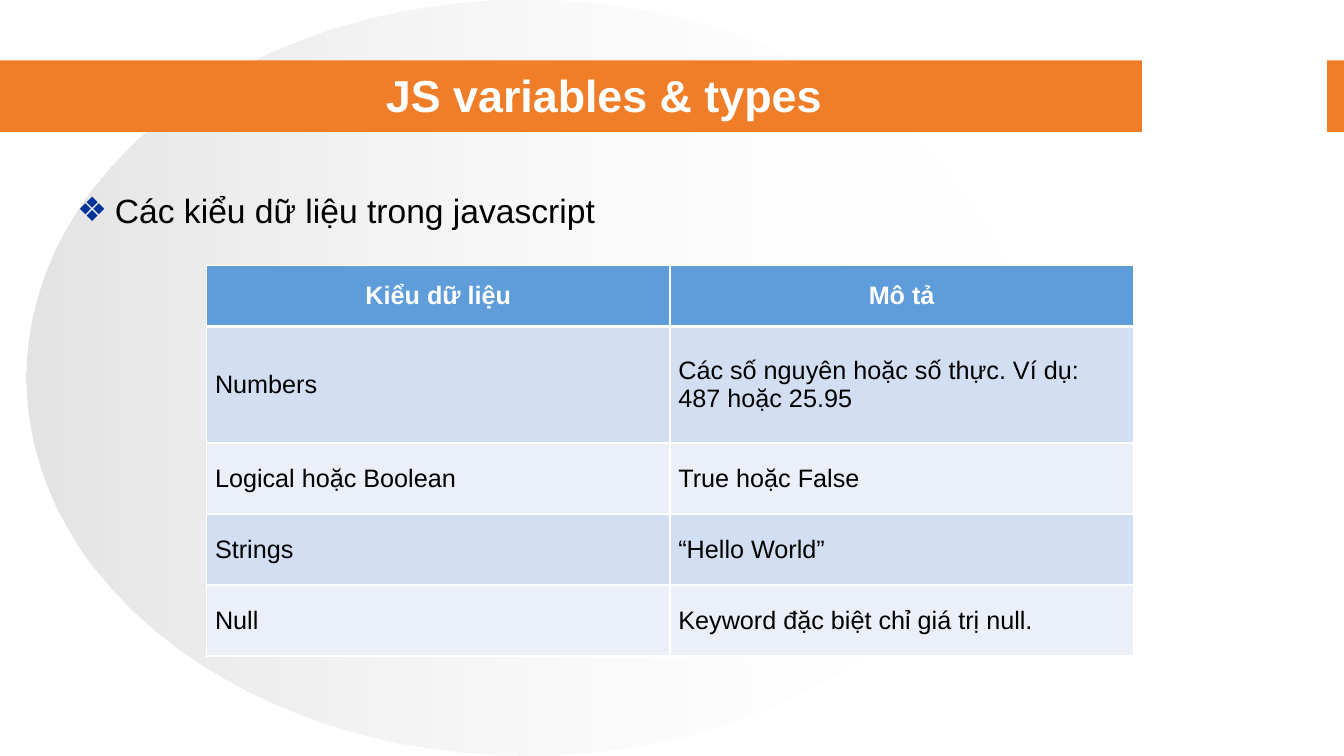
from lxml import etree
from pptx import Presentation
from pptx.dml.color import RGBColor
from pptx.enum.shapes import MSO_SHAPE
from pptx.enum.text import MSO_ANCHOR, PP_ALIGN
from pptx.oxml.ns import qn
from pptx.util import Pt

OVAL, RECTANGLE = MSO_SHAPE.OVAL, MSO_SHAPE.RECTANGLE
MIDDLE, TOP = MSO_ANCHOR.MIDDLE, MSO_ANCHOR.TOP
CENTER, LEFT = PP_ALIGN.CENTER, PP_ALIGN.LEFT

FONT = "Arial"
WHITE, BLACK, ORANGE, NAVY = "FFFFFF", "000000", "F07D27", "003399"
HEADER_BLUE, BAND_FILLS = "5E9CDA", ("D2DEF1", "EAEFF8")

TYPE_ROWS = [
    ("Kiểu dữ liệu", "Mô tả"),
    ("Numbers", "Các số nguyên hoặc số thực. Ví dụ: 487 hoặc 25.95"),
    ("Logical hoặc Boolean", "True hoặc False"),
    ("Strings", "“Hello World”"),
    ("Null", "Keyword đặc biệt chỉ giá trị null."),
]
ROW_HEIGHTS = (43.9, 83.2, 50.7, 50.7, 50.7)


def color(hex_string):
    return RGBColor.from_string(hex_string)


def points(box):
    return [Pt(length) for length in box]


def add_span(para, text, size, hex_color, bold=False):
    span = para.add_run()
    span.text = text
    span.font.name = FONT
    span.font.size = Pt(size)
    span.font.bold = bold
    span.font.color.rgb = color(hex_color)


def add_plain_shape(page, kind, box, fill):
    shape = page.shapes.add_shape(kind, *points(box))
    shape.shadow.inherit = False
    shape.fill.solid()
    shape.fill.fore_color.rgb = color(fill)
    shape.line.fill.background()
    return shape


def add_text_box(page, box, anchor):
    frame = page.shapes.add_textbox(*points(box)).text_frame
    frame.word_wrap = True
    frame.vertical_anchor = anchor
    return frame.paragraphs[0]


def add_backdrop(page, box):
    """Grey ellipse that fades out to the right."""
    ellipse = add_plain_shape(page, OVAL, box, WHITE)
    ellipse.fill.gradient()
    ellipse.fill.gradient_angle = 0
    fades = (("C0C0C0", 44), (WHITE, 0))
    for stop, (hex_color, opacity) in zip(ellipse.fill.gradient_stops, fades):
        stop.color.rgb = color(hex_color)
    # Opacity of each gradient stop
    tones = ellipse.element.spPr.iter(qn("a:srgbClr"))
    for tone, (_, opacity) in zip(list(tones), fades):
        etree.SubElement(tone, qn("a:alpha"), val=str(opacity * 1000))


def add_title_band(page, box, title):
    left, top, width, height = box
    add_plain_shape(page, RECTANGLE, box, ORANGE)
    # White gap near the right end
    gap = add_plain_shape(page, RECTANGLE, (left + 815.8, top, 131.8, height), WHITE)
    gap.line.color.rgb = color(WHITE)
    gap.line.width = Pt(0.75)
    # Title
    para = add_text_box(page, (left + 120, top + 5, 632, 38.2), MIDDLE)
    para.alignment = CENTER
    add_span(para, title, 32, WHITE, bold=True)


def add_bullet_text(page, box, text):
    para = add_text_box(page, box, TOP)
    para.space_before = Pt(4.8)
    add_span(para, text, 24, BLACK)
    # Hanging diamond bullet
    properties = para._p.get_or_add_pPr()
    properties.set("marL", str(Pt(27)))
    properties.set("indent", str(-Pt(27)))
    bullet_color = etree.SubElement(properties, qn("a:buClr"))
    etree.SubElement(bullet_color, qn("a:srgbClr"), val=NAVY)
    etree.SubElement(properties, qn("a:buFont"), typeface=FONT)
    etree.SubElement(properties, qn("a:buChar"), char="❖")


def set_borders(cell, bottom_width):
    properties = cell._tc.get_or_add_tcPr()
    widths = {"a:lnL": 1, "a:lnR": 1, "a:lnT": 1, "a:lnB": bottom_width}
    for index, (side, width) in enumerate(widths.items()):
        border = etree.Element(qn(side), w=str(Pt(width)))
        fill = etree.SubElement(border, qn("a:solidFill"))
        etree.SubElement(fill, qn("a:srgbClr"), val=WHITE)
        properties.insert(index, border)


def add_type_table(page, box):
    table = page.shapes.add_table(len(TYPE_ROWS), 2, *points(box)).table
    for column in table.columns:
        column.width = Pt(box[2] / 2)
    for index, (texts, height) in enumerate(zip(TYPE_ROWS, ROW_HEIGHTS)):
        header = index == 0
        table.rows[index].height = Pt(height)
        for cell, text in zip(table.rows[index].cells, texts):
            cell.vertical_anchor = MIDDLE
            if not header:
                cell.margin_left = cell.margin_right = Pt(6)
                cell.margin_top = cell.margin_bottom = Pt(6)
            cell.fill.solid()
            cell.fill.fore_color.rgb = color(
                HEADER_BLUE if header else BAND_FILLS[(index - 1) % 2])
            # The rule under the header is heavier, on both sides of the edge
            set_borders(cell, 3 if header else 1)
            if index == 1:
                cell._tc.tcPr.find(qn("a:lnT")).set("w", str(Pt(3)))
            para = cell.text_frame.paragraphs[0]
            para.alignment = CENTER if header else LEFT
            add_span(para, text, 18, WHITE if header else BLACK, bold=header)


def main():
    deck = Presentation()
    deck.slide_width, deck.slide_height = Pt(960), Pt(540)
    page = deck.slides.add_slide(deck.slide_layouts[6])
    add_backdrop(page, (18.7, 0, 714.2, 540))
    add_title_band(page, (0, 43.2, 960, 51.1), "JS variables & types ")
    add_bullet_text(page, (48, 132, 868, 366), "Các kiểu dữ liệu trong javascript")
    add_type_table(page, (147.6, 189.4, 662, sum(ROW_HEIGHTS)))
    deck.save("out.pptx")


if __name__ == "__main__":
    main()
